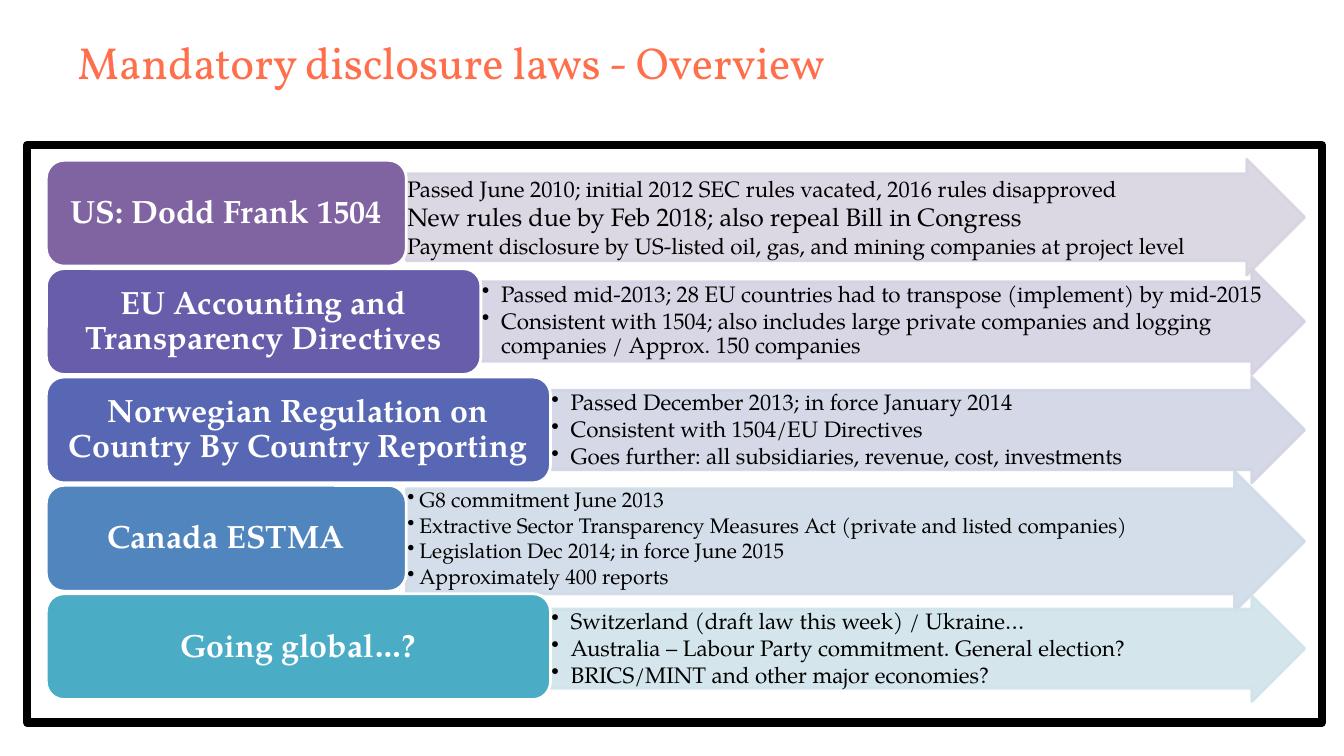
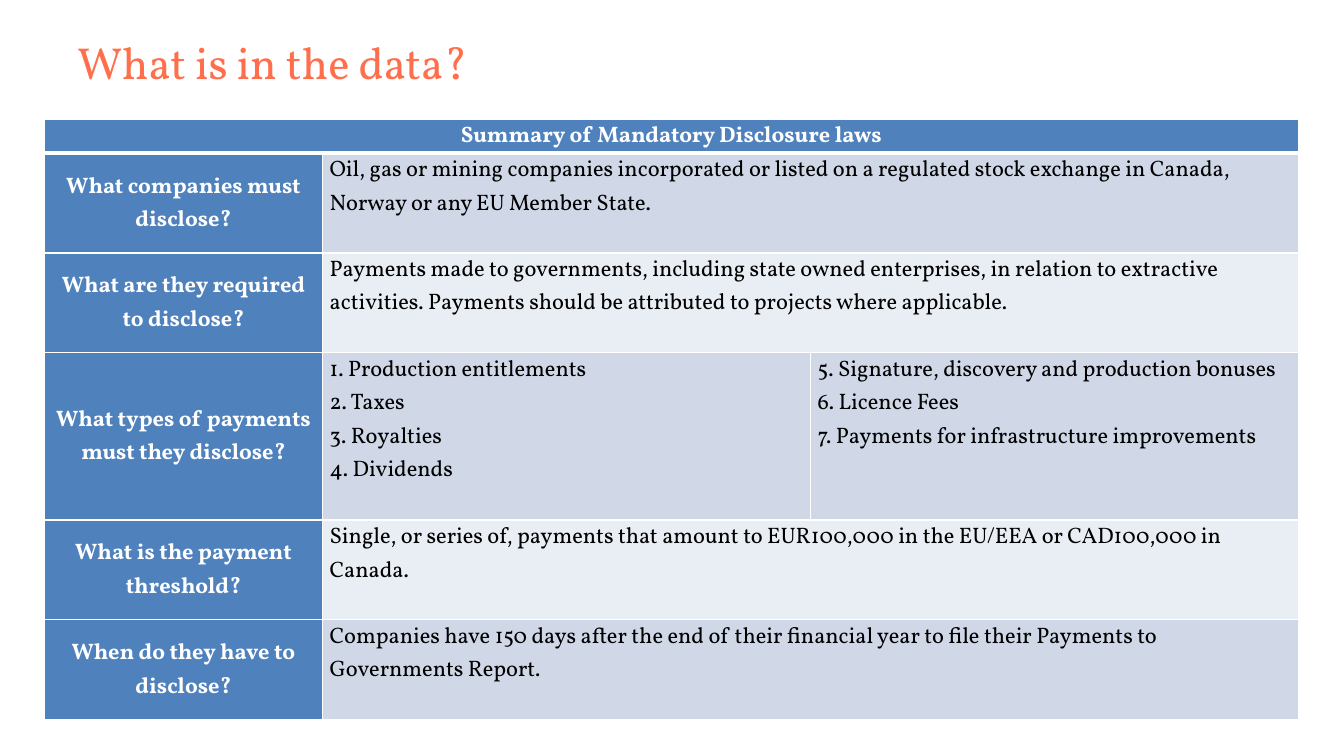
from lxml import etree
from pptx import Presentation
from pptx.dml import color as dml
from pptx.enum import shapes, text
from pptx.oxml import ns
from pptx.util import Inches, Pt

SERIF, BOOK = "Vollkorn", "TeX Gyre Pagella"
CORAL, WHITE, BLACK = "FF6F4C", "FFFFFF", "000000"
HEAD, DARK, PALE = "4F81BD", "D0D8E8", "E9EDF4"

LAWS = [
    dict(label="US: Dodd Frank 1504", width=3.57, color="8064A2", tint="D8D3E0",
         shift=-0.01, height=1.15, hang=0, sizes=(16, 18, 16), lines=(
             "Passed June 2010; initial 2012 SEC rules vacated, 2016 rules disapproved",
             "New rules due by Feb 2018; also repeal Bill in Congress",
             "Payment disclosure by US-listed oil, gas, and mining companies at project level")),
    dict(label="EU Accounting and Transparency Directives", width=4.31,
         color="685DAB", tint="D4D2E3",
         shift=0, height=1.05, hang=0.19, sizes=(16, 16), lines=(
             "Passed mid-2013; 28 EU countries had to transpose (implement) by mid-2015",
             "Consistent with 1504; also includes large private companies and logging "
             "companies / Approx. 150 companies")),
    dict(label="Norwegian Regulation on Country By Country Reporting", width=5,
         color="5767B4", tint="D1D4E5",
         shift=0, height=1.05, hang=0.19, sizes=(16, 16, 16), lines=(
             "Passed December 2013; in force January 2014",
             "Consistent with 1504/EU Directives",
             "Goes further: all subsidiaries, revenue, cost, investments")),
    dict(label="Canada ESTMA", width=3.57, color="5185BD", tint="D0DBE8",
         shift=-0.14, height=1.39, hang=0.12, sizes=(15, 15, 15, 15), lines=(
             "G8 commitment June 2013",
             "Extractive Sector Transparency Measures Act (private and listed companies)",
             "Legislation Dec 2014; in force June 2015",
             "Approximately 400 reports")),
    dict(label="Going global…?", width=5, color="4BACC6", tint="D0E3EA",
         shift=0.02, height=1.05, hang=0.19, sizes=(16, 16, 16), lines=(
             "Switzerland (draft law this week) / Ukraine…",
             "Australia – Labour Party commitment. General election?",
             "BRICS/MINT and other major economies?")),
]

FACTS = [
    ("What companies must disclose?", [
        ["Oil, gas or mining companies incorporated or listed on a regulated stock "
         "exchange in Canada, Norway or any EU Member State."]]),
    ("What are they required to disclose?", [
        ["Payments made to governments, including state owned enterprises, in relation "
         "to extractive activities. Payments should be attributed to projects where "
         "applicable."]]),
    ("What types of payments must they disclose?", [
        ["1. Production entitlements", "2. Taxes", "3. Royalties", "4. Dividends"],
        ["5. Signature, discovery and production bonuses", "6. Licence Fees",
         "7. Payments for infrastructure improvements"]]),
    ("What is the payment threshold?", [
        ["Single, or series of, payments that amount to EUR100,000 in the EU/EEA or "
         "CAD100,000 in Canada."]]),
    ("When do they have to disclose?", [
        ["Companies have 150 days after the end of their financial year to file their "
         "Payments to Governments Report."]]),
]


def rgb(code):
    return dml.RGBColor.from_string(code)


def paint(item, code):
    item.fill.solid()
    item.fill.fore_color.rgb = rgb(code)


def fade(shape, percent):
    for tone in shape.fill._xPr.iter(ns.qn("a:srgbClr")):
        etree.SubElement(tone, ns.qn("a:alpha"), val=str(percent * 1000))


def style(para, face, size, code, bold=False):
    para.font.name = face
    para.font.size = Pt(size)
    para.font.color.rgb = rgb(code)
    para.font.bold = bold


def inset(item, side, top):
    item.margin_left = item.margin_right = Inches(side)
    item.margin_top = item.margin_bottom = Inches(top)


def bullet(para, hang):
    props = para._p.get_or_add_pPr()
    props.set("marL", str(Inches(hang)))
    props.set("indent", str(-Inches(hang)))
    etree.SubElement(props, ns.qn("a:buChar"), char="•")


def shape_at(slide, kind, box, fill, line, weight):
    shape = slide.shapes.add_shape(kind, *map(Inches, box))
    shape.shadow.inherit = False
    if fill:
        paint(shape, fill)
    else:
        shape.fill.background()
    shape.line.color.rgb = rgb(line)
    shape.line.width = Pt(weight)
    return shape


def new_slide(deck, title):
    slide = deck.slides.add_slide(deck.slide_layouts[6])
    frame = slide.shapes.add_textbox(*map(Inches, (0.67, 0.3, 12, 1.06))).text_frame
    frame.word_wrap = True
    frame.text = title
    style(frame.paragraphs[0], SERIF, 32, CORAL)
    return slide


def arrow(slide, law, box):
    shape = shape_at(slide, shapes.MSO_SHAPE.RIGHT_ARROW, box, law["tint"], law["tint"], 2)
    shape.adjustments[0] = 0.75
    fade(shape, 90)
    frame = shape.text_frame
    frame.word_wrap = True
    frame.vertical_anchor = text.MSO_ANCHOR.TOP
    inset(frame, 0.01, 0.01)
    frame.text = "\n".join(law["lines"])
    for para, size in zip(frame.paragraphs, law["sizes"]):
        para.alignment = text.PP_ALIGN.LEFT
        if law["hang"]:
            para.line_spacing = 0.9
            para.space_after = Pt(2)
            bullet(para, law["hang"])
        style(para, BOOK, size, BLACK)


def law_row(slide, law, left, top, right, height):
    start = left + law["width"]
    arrow(slide, law, (start, top + law["shift"], right - start, law["height"]))
    label = shape_at(slide, shapes.MSO_SHAPE.ROUNDED_RECTANGLE,
                     (left, top, law["width"], height), law["color"], WHITE, 2)
    frame = label.text_frame
    frame.word_wrap = True
    frame.vertical_anchor = text.MSO_ANCHOR.MIDDLE
    inset(frame, 0.1, 0.05)
    frame.text = law["label"]
    para = frame.paragraphs[0]
    para.alignment = text.PP_ALIGN.CENTER
    para.line_spacing = 0.9
    style(para, BOOK, 23, WHITE, True)


def law_panel(slide, left, top, width, height):
    for place, law in enumerate(LAWS):
        law_row(slide, law, left + 0.19, top + 0.15 + 1.075 * place,
                left + width - 0.17, 1.05)
    shape_at(slide, shapes.MSO_SHAPE.RECTANGLE, (left, top, width, height), None, BLACK, 6)


def border(cell, under):
    props = cell._tc.get_or_add_tcPr()
    for side, weight in (("L", 1), ("R", 1), ("T", 1), ("B", under)):
        line = etree.SubElement(props, ns.qn("a:ln" + side), w=str(Pt(weight)))
        fill = etree.SubElement(line, ns.qn("a:solidFill"))
        etree.SubElement(fill, ns.qn("a:srgbClr"), val=WHITE)


def fill_cell(cell, lines, fill, head=False):
    paint(cell, fill)
    inset(cell, 0.07, 0)
    cell.vertical_anchor = text.MSO_ANCHOR.MIDDLE if head else text.MSO_ANCHOR.TOP
    cell.text = "\n".join(lines)
    for para in cell.text_frame.paragraphs:
        para.alignment = text.PP_ALIGN.CENTER if head else text.PP_ALIGN.LEFT
        para.line_spacing = 1.07
        style(para, SERIF, 16, WHITE if head else BLACK, head)


def fact_table(slide, left, top, cols, rows):
    box = (left, top, sum(cols), sum(rows))
    table = slide.shapes.add_table(len(rows), len(cols), *map(Inches, box)).table
    for col, width in zip(table.columns, cols):
        col.width = Inches(width)
    for place, height in enumerate(rows):
        table.rows[place].height = Inches(height)
        for cell in table.rows[place].cells:
            border(cell, 1 if place else 3)
    table.cell(0, 0).merge(table.cell(0, 2))
    fill_cell(table.cell(0, 0), ["Summary of Mandatory Disclosure laws"], HEAD, True)
    for place, (label, parts) in enumerate(FACTS, 1):
        fill_cell(table.cell(place, 0), [label], HEAD, True)
        if len(parts) == 1:
            table.cell(place, 1).merge(table.cell(place, 2))
        for col, lines in enumerate(parts, 1):
            fill_cell(table.cell(place, col), lines, DARK if place % 2 else PALE)


def main():
    deck = Presentation()
    deck.slide_width, deck.slide_height = Inches(13.33), Inches(7.5)
    law_panel(new_slide(deck, "Mandatory disclosure laws - Overview"),
              0.27, 1.44, 12.84, 5.73)
    fact_table(new_slide(deck, "What is in the data?"), 0.44, 1.18,
               (2.76, 4.84, 4.84), (0.34, 0.99, 0.99, 1.66, 0.99, 0.99))
    deck.save("out.pptx")


if __name__ == "__main__":
    main()
